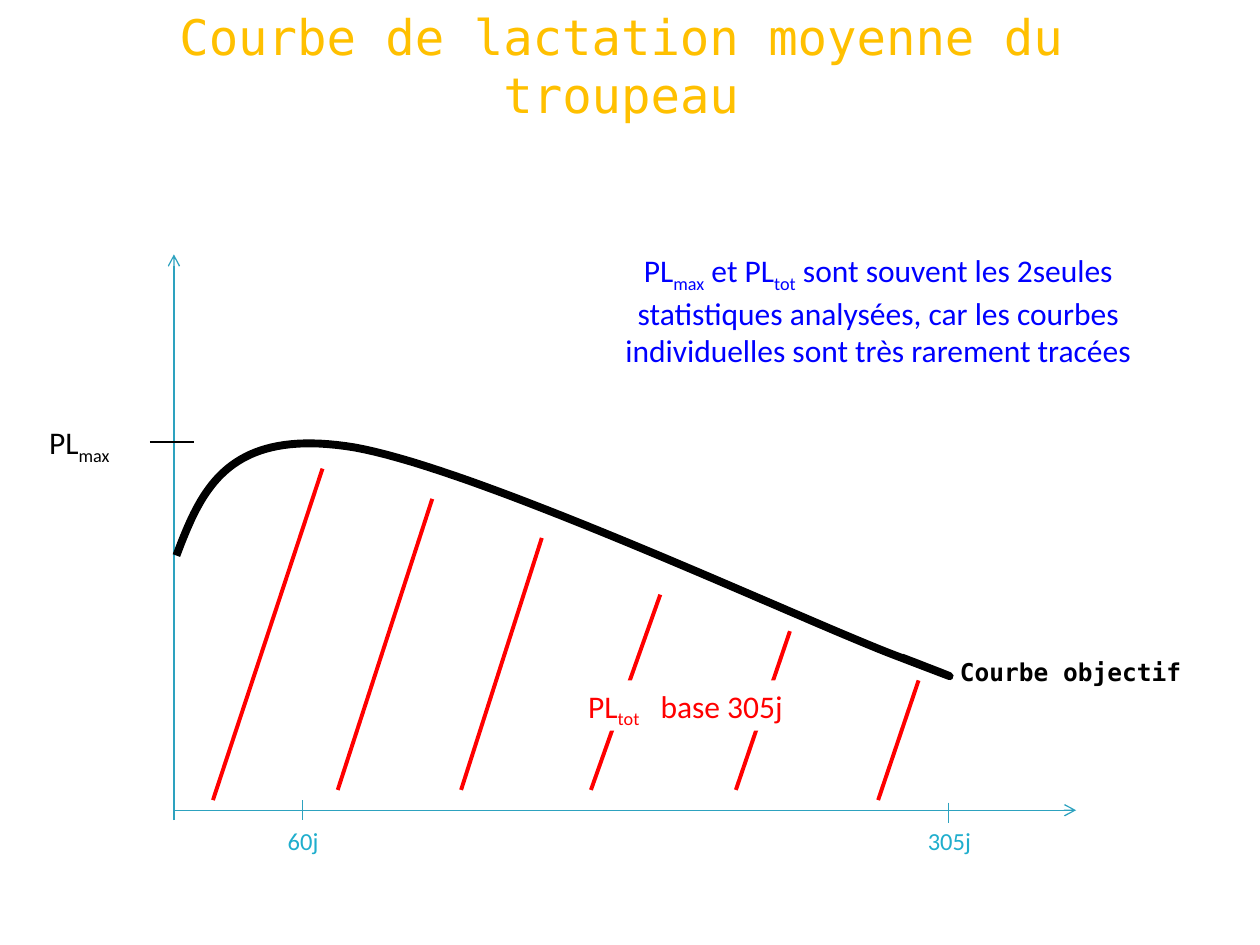
"""Build the slide showing the average lactation curve of a herd."""
from dataclasses import dataclass
from itertools import chain
from typing import NamedTuple

from lxml.etree import SubElement
from pptx import Presentation
from pptx.dml.color import RGBColor
from pptx.enum.shapes import MSO_CONNECTOR, MSO_SHAPE
from pptx.enum.text import MSO_ANCHOR, PP_ALIGN
from pptx.oxml.ns import qn
from pptx.util import Pt

AXIS, DAY, RED, BLACK, BLUE = "2DA2BF", "1FAECD", "FF0000", "000000", "0000FF"
SANS, MONO = "Calibri", "DejaVu Sans Mono"
SUBSCRIPT = {"baseline": "-25000"}
WIDE_SPACE = {"spc": "800"}


class Point(NamedTuple):
    """A position on the page, in points."""
    x: float
    y: float


@dataclass
class Stroke:
    """A straight line, with an optional arrowhead at its end."""
    start: Point
    end: Point
    color: str = AXIS
    width: float = 0.75
    arrow: bool = False


@dataclass
class Label:
    """A text box made of (text, run attributes) spans."""
    left: float
    top: float
    width: float
    height: float
    spans: list[tuple[str, dict]]
    color: str
    size: float = 18
    font: str = SANS
    bold: bool = False
    align: PP_ALIGN = PP_ALIGN.CENTER
    anchor: MSO_ANCHOR = MSO_ANCHOR.TOP
    fill: str = ""


AXES = [
    Stroke(Point(99.4, 468.7), Point(99.4, 145.4), arrow=True),
    Stroke(Point(99.4, 463), Point(614.9, 463), arrow=True),
]
TICKS = [
    Stroke(Point(172.8, 457.2), Point(172.8, 468.7)),
    Stroke(Point(542.2, 458.6), Point(542.2, 470.2)),
    Stroke(Point(85.7, 252.7), Point(110.9, 252.7), BLACK, 1),
]
HATCHES = [
    Stroke(Point(*top), Point(*bottom), RED, 2.25)
    for top, bottom in (
        ((184.3, 267.8), (121.7, 457.2)),
        ((247, 285.1), (193, 451.4)),
        ((309.6, 307.4), (263.5, 451.4)),
        ((377.3, 339.8), (337.7, 451.4)),
        ((451.4, 360.7), (420.5, 451.4)),
        ((524.9, 388.8), (501.8, 457.2)),
    )
]
CURVE = [Point(*pair) for pair in (
    (100.8, 317.5), (114.5, 281.5), (128.9, 245.5), (197.3, 254.9),
    (265.7, 264.2), (457.9, 354.2), (511.2, 374.4),
    (563.8, 394.6), (540, 385.2), (515.5, 375.8),
)]
LABELS = [
    Label(31, 9.4, 648, 55.4, [("Courbe de lactation moyenne du troupeau", {})],
          "FFC000", 28, MONO, anchor=MSO_ANCHOR.MIDDLE),
    Label(541.4, 372.2, 141.8, 24.5, [("Courbe objectif", {})],
          BLACK, 14, MONO, True, PP_ALIGN.LEFT),
    Label(153.4, 468.7, 39.6, 24.5, [("60j", {})], DAY, 14),
    Label(522.7, 468.7, 39.6, 24.5, [("305j", {})], DAY, 14),
    Label(0, 238.3, 90.7, 28.8, [("PL", {}), ("max", SUBSCRIPT)], BLACK),
    Label(313.2, 388.8, 157, 28.8,
          [("PL", {}), ("tot", SUBSCRIPT), (" ", WIDE_SPACE), ("base 305j", {})],
          RED, fill="FFFFFF"),
    Label(326.2, 139.7, 351.4, 72.7,
          [("PL", {}), ("max", SUBSCRIPT), (" et PL", {}), ("tot", SUBSCRIPT),
           (" sont souvent les 2seules statistiques analysées, car les courbes "
            "individuelles sont très rarement tracées", {})], BLUE),
]


def paint(target, color: str) -> None:
    """Give a fill a solid colour."""
    target.solid()
    target.fore_color.rgb = RGBColor.from_string(color)


def apply_format(target, values: dict) -> None:
    """Set each named attribute on the target."""
    for name, value in values.items():
        setattr(target, name, value)


def draw_stroke(page, stroke: Stroke) -> None:
    """Draw a straight line without a shadow."""
    ends = [Pt(value) for value in (*stroke.start, *stroke.end)]
    connector = page.shapes.add_connector(MSO_CONNECTOR.STRAIGHT, *ends)
    paint(connector.line.fill, stroke.color)
    connector.line.width = Pt(stroke.width)
    if stroke.arrow:
        SubElement(connector.line._get_or_add_ln(), qn("a:tailEnd"), type="arrow")
    SubElement(connector._element.spPr, qn("a:effectLst"))


def bezier(start: Point, first: Point, second: Point, end: Point,
           steps: int = 40) -> list[Point]:
    """Sample a cubic curve, leaving out its starting point."""
    points = []
    for step in range(1, steps + 1):
        t = step / steps
        weights = ((1 - t) ** 3, 3 * t * (1 - t) ** 2, 3 * t * t * (1 - t), t ** 3)
        points.append(Point(*(sum(w * v for w, v in zip(weights, values))
                              for values in zip(start, first, second, end))))
    return points


def draw_curve(page, controls: list[Point]) -> None:
    """Draw the lactation curve through its chained control points."""
    samples = chain.from_iterable(
        bezier(*controls[index:index + 4]) for index in range(0, len(controls) - 1, 3))
    builder = page.shapes.build_freeform(*(Pt(value) for value in controls[0]))
    builder.add_line_segments([(Pt(x), Pt(y)) for x, y in samples], close=False)
    curve = builder.convert_to_shape()
    curve.shadow.inherit = False
    curve.fill.background()
    paint(curve.line.fill, BLACK)
    curve.line.width = Pt(4.5)
    SubElement(curve.line._get_or_add_ln(), qn("a:round"))


def draw_label(page, label: Label) -> None:
    """Draw a text box, or a filled rectangle, with its spans."""
    frame = [Pt(v) for v in (label.left, label.top, label.width, label.height)]
    if label.fill:
        box = page.shapes.add_shape(MSO_SHAPE.RECTANGLE, *frame)
        box.shadow.inherit = False
        paint(box.fill, label.fill)
        box.line.fill.background()
    else:
        box = page.shapes.add_textbox(*frame)
    apply_format(box.text_frame, {"word_wrap": True, "vertical_anchor": label.anchor})
    para = box.text_frame.paragraphs[0]
    para.alignment = label.align
    for text, attributes in label.spans:
        span = para.add_run()
        span.text = text
        apply_format(span.font, {"name": label.font, "size": Pt(label.size),
                                 "bold": label.bold})
        paint(span.font.fill, label.color)
        for name, value in attributes.items():
            span._r.get_or_add_rPr().set(name, value)


def main() -> None:
    """Build and save the deck."""
    deck = Presentation()
    apply_format(deck, {"slide_width": Pt(720), "slide_height": Pt(540)})
    page = deck.slides.add_slide(deck.slide_layouts[6])
    for stroke in AXES:
        draw_stroke(page, stroke)
    draw_curve(page, CURVE)
    for stroke in TICKS + HATCHES:
        draw_stroke(page, stroke)
    for label in LABELS:
        draw_label(page, label)
    deck.save("out.pptx")


if __name__ == "__main__":
    main()
